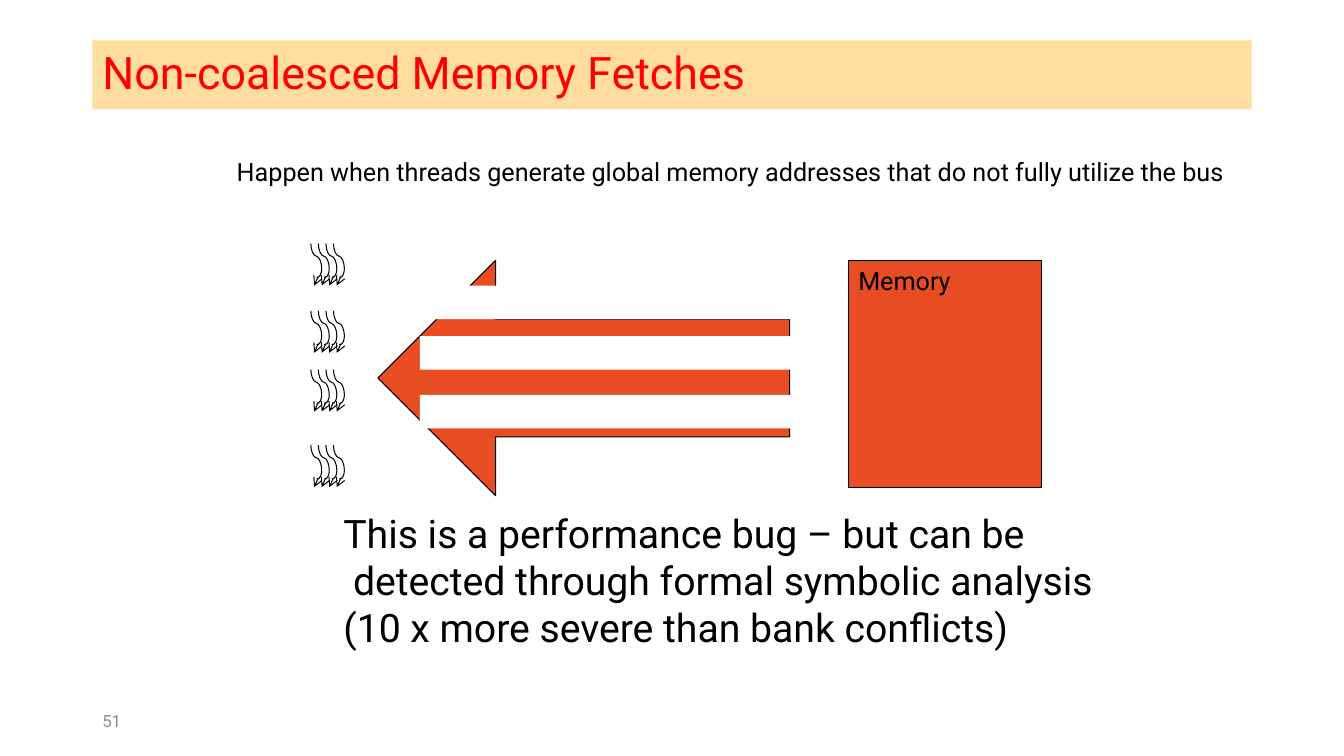
import dataclasses

import pptx
import pptx.dml.color
import pptx.enum.shapes
import pptx.enum.text
import pptx.oxml
import pptx.oxml.ns
import pptx.util

PX = 7620
FONT = "Roboto"
BLACK, WHITE, RED, ORANGE = "000000", "FFFFFF", "FF0000", "E84C22"
SHAPE = pptx.enum.shapes.MSO_SHAPE
ANCHOR = pptx.enum.text.MSO_ANCHOR


@dataclasses.dataclass(frozen=True)
class Box:
    """Place and size in px."""
    left: int
    top: int
    width: int
    height: int


@dataclasses.dataclass(frozen=True)
class Block:
    """A filled shape, with or without an outline."""
    kind: SHAPE
    box: Box
    fill: str
    edge: bool


@dataclasses.dataclass(frozen=True)
class Note:
    """A text box of one font size."""
    box: Box
    lines: tuple[str, ...]
    size: int
    color: str = BLACK
    anchor: ANCHOR = ANCHOR.TOP
    wrap: bool = False


@dataclasses.dataclass(frozen=True)
class Curve:
    """A half of a thread, as offsets from the bend of the thread."""
    dx: int
    dy: int
    arrow: bool


MEMORY = Block(SHAPE.RECTANGLE, Box(1010, 310, 230, 270), ORANGE, True)
FETCH = Block(SHAPE.LEFT_ARROW, Box(450, 310, 490, 280), ORANGE, True)
GAPS = [Block(SHAPE.RECTANGLE, Box(500, top, 450, 40), WHITE, False) for top in (340, 400, 470)]
NOTES = [
    Note(Box(110, 834, 360, 48), ("51",), 12, "8C8C8C", ANCHOR.MIDDLE, True),
    Note(Box(397, 600, 935, 181), (
        "This is a performance bug – but can be",
        " detected through formal symbolic analysis",
        "(10 x more severe than bank conflicts)",
    ), 28),
    Note(Box(270, 180, 1235, 48), (
        "Happen when threads generate global memory addresses that do not fully utilize the bus",
    ), 18),
]
CURVES = (Curve(-9, 20, True), Curve(-13, -30, False))
WARP_TOPS = (290, 370, 440, 530)
THREADS = 4


def rgb(color: str) -> pptx.dml.color.RGBColor:
    """Turn a hex string into a colour."""
    return pptx.dml.color.RGBColor.from_string(color)


def place(shape, box: Box) -> None:
    """Move and size a shape."""
    shape.left, shape.top = box.left * PX, box.top * PX
    shape.width, shape.height = box.width * PX, box.height * PX


def style(para, size: int, color: str) -> None:
    """Set font and alignment of a paragraph."""
    para.alignment = pptx.enum.text.PP_ALIGN.LEFT
    para.font.name = FONT
    para.font.size = pptx.util.Pt(size)
    para.font.color.rgb = rgb(color)


def ink(line) -> None:
    """Give a line the thin black stroke."""
    line.color.rgb = rgb(BLACK)
    line.width = pptx.util.Pt(0.75)


def write(frame, lines: tuple[str, ...], size: int, color: str) -> None:
    """Fill a text frame, one paragraph a line."""
    frame.text = "\n".join(lines)
    for para in frame.paragraphs:
        style(para, size, color)


def add_title(slide, text: str) -> None:
    """Format the title placeholder as a tinted bar."""
    title = slide.shapes.title
    place(title, Box(110, 48, 1380, 82))
    title.fill.solid()
    title.fill.fore_color.rgb = rgb("FFBD47")
    tint = next(title._element.spPr.iter(pptx.oxml.ns.qn("a:srgbClr")))
    tint.append(pptx.oxml.parse_xml(f'<a:alpha {pptx.oxml.ns.nsdecls("a")} val="51000"/>'))
    title.text_frame.vertical_anchor = ANCHOR.MIDDLE
    title.text_frame.auto_size = pptx.enum.text.MSO_AUTO_SIZE.NONE
    write(title.text_frame, (text,), 32, RED)
    title.text_frame.paragraphs[0].line_spacing = 0.9


def add_block(slide, block: Block):
    """Draw a filled shape."""
    shape = slide.shapes.add_shape(block.kind, 0, 0, 0, 0)
    place(shape, block.box)
    shape.shadow.inherit = False
    shape.fill.solid()
    shape.fill.fore_color.rgb = rgb(block.fill)
    if block.edge:
        ink(shape.line)
    else:
        shape.line.fill.background()
    return shape


def add_note(slide, note: Note) -> None:
    """Draw a text box."""
    area = slide.shapes.add_textbox(0, 0, 0, 0)
    frame = area.text_frame
    write(frame, note.lines, note.size, note.color)
    frame.word_wrap = note.wrap
    frame.vertical_anchor = note.anchor
    if not note.wrap:
        frame.auto_size = pptx.enum.text.MSO_AUTO_SIZE.SHAPE_TO_FIT_TEXT
    place(area, note.box)


def add_curve(group, x: float, y: int, curve: Curve) -> None:
    """Draw a curve that leaves its start upright, by a quarter turn."""
    down = curve.dy > 0
    mid_x, mid_y = x + curve.dx / 2, y + curve.dy / 2
    run = abs(curve.dy) / 2
    rise = (-curve.dx if down else curve.dx) / 2
    ends = (mid_x - run, mid_y - rise, mid_x + run, mid_y + rise)
    link = group.shapes.add_connector(
        pptx.enum.shapes.MSO_CONNECTOR.CURVE, *(round(end * PX) for end in ends))
    ink(link.line)
    props = link._element.spPr
    props.find(pptx.oxml.ns.qn("a:xfrm")).set("rot", "5400000" if down else "16200000")
    space = pptx.oxml.ns.nsdecls("a")
    if curve.arrow:
        stroke = props.find(pptx.oxml.ns.qn("a:ln"))
        stroke.append(pptx.oxml.parse_xml(f'<a:tailEnd {space} type="arrow"/>'))
    props.append(pptx.oxml.parse_xml(f"<a:effectLst {space}/>"))


def add_warp(slide, top: int) -> None:
    """Draw a group of wavy threads."""
    group = slide.shapes.add_group_shape()
    for thread in range(THREADS):
        for curve in CURVES:
            add_curve(group, 383 + 9 * thread, top + 30, curve)


def main() -> None:
    """Build and save the slide."""
    deck = pptx.Presentation()
    deck.slide_width, deck.slide_height = 1600 * PX, 900 * PX
    slide = deck.slides.add_slide(deck.slide_layouts.get_by_name("Title Only"))
    add_title(slide, "Non-coalesced Memory Fetches")
    memory = add_block(slide, MEMORY)
    memory.text_frame.vertical_anchor = ANCHOR.TOP
    write(memory.text_frame, ("Memory",), 18, BLACK)
    for top in WARP_TOPS:
        add_warp(slide, top)
    for block in (FETCH, *GAPS):
        add_block(slide, block)
    for note in NOTES:
        add_note(slide, note)
    deck.save("out.pptx")


if __name__ == "__main__":
    main()
